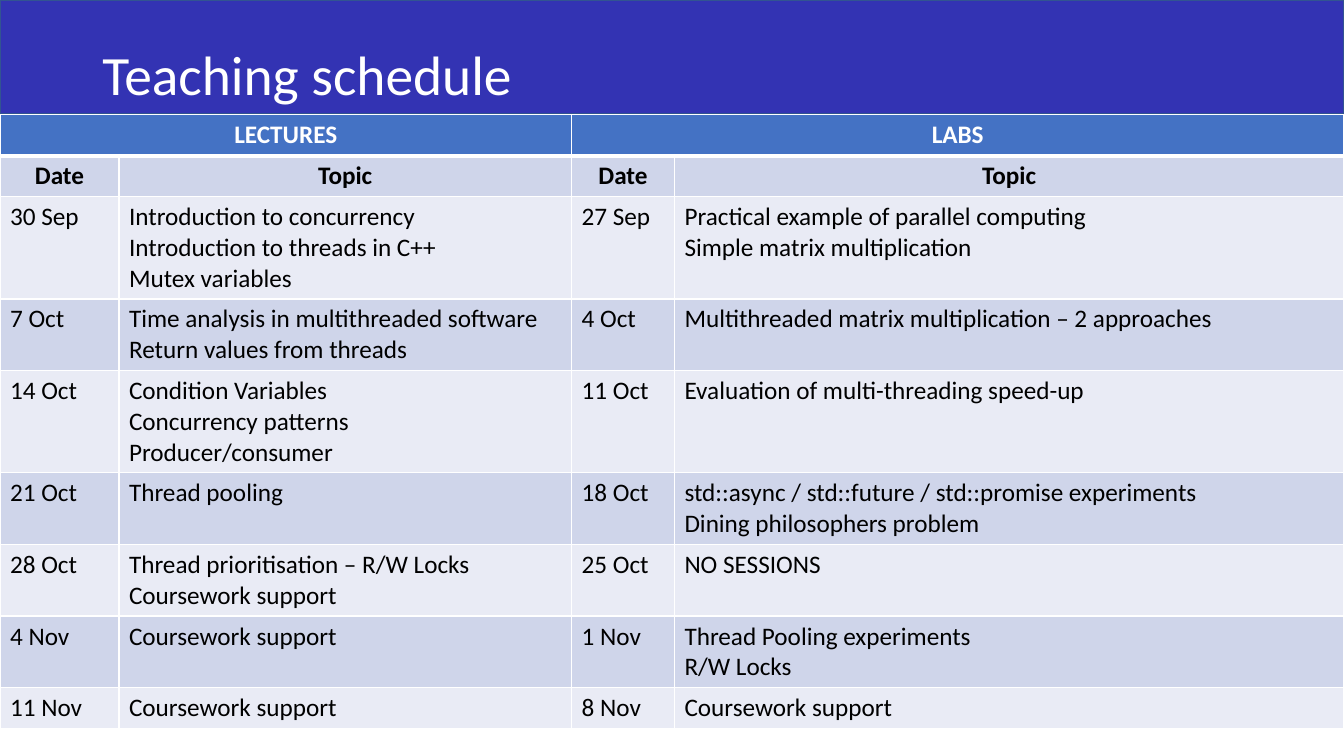
from lxml.etree import SubElement
from pptx import Presentation
from pptx.dml.color import RGBColor
from pptx.enum.shapes import MSO_SHAPE
from pptx.enum.text import MSO_ANCHOR, PP_ALIGN
from pptx.oxml.ns import qn
from pptx.util import Pt

COLORS = {
    "banner": "3333B3", "banner_line": "325491", "white": "FFFFFF", "black": "000000",
    "header": "4472C4", "dark_band": "CFD5EA", "light_band": "E9EBF5",
}
FONT = "Calibri"
COLUMN_WIDTHS = [85, 323.3, 73.5, 478.2]
LINE_HEIGHT, CELL_PADDING = 21.96, 7.24

# "\n" starts a paragraph, "\v" breaks a line within one
SCHEDULE = [
    ["LECTURES", "", "LABS", ""],
    ["Date", "Topic", "Date", "Topic"],
    ["30 Sep", "Introduction to concurrency\vIntroduction to threads in C++\nMutex variables",
     "27 Sep", "Practical example of parallel computing\nSimple matrix multiplication"],
    ["7 Oct", "Time analysis in multithreaded software\nReturn values from threads",
     "4 Oct", "Multithreaded matrix multiplication – 2 approaches"],
    ["14 Oct", "Condition Variables\nConcurrency patterns\nProducer/consumer",
     "11 Oct", "Evaluation of multi-threading speed-up"],
    ["21 Oct", "Thread pooling",
     "18 Oct", "std::async / std::future / std::promise experiments\nDining philosophers problem"],
    ["28 Oct", "Thread prioritisation – R/W Locks\nCoursework support", "25 Oct", "NO SESSIONS"],
    ["4 Nov", "Coursework support", "1 Nov", "Thread Pooling experiments\nR/W Locks"],
    ["11 Nov", "Coursework support", "8 Nov", "Coursework support"],
]


def color(name):
    """Return the named colour."""
    return RGBColor.from_string(COLORS[name])


def format_text(text_frame, size, color_name, bold=False, align=PP_ALIGN.LEFT):
    """Format every paragraph and run of a text frame."""
    for paragraph in text_frame.paragraphs:
        paragraph.alignment = align
        for run in paragraph.runs:
            run.font.name = FONT
            run.font.size = Pt(size)
            run.font.bold = bold
            run.font.color.rgb = color(color_name)


def add_banner(slide, left, top, width, height):
    """Draw the title banner with its title in the lower part."""
    banner = slide.shapes.add_shape(
        MSO_SHAPE.RECTANGLE, Pt(left), Pt(top), Pt(width), Pt(height))
    banner.shadow.inherit = False
    banner.fill.solid()
    banner.fill.fore_color.rgb = color("banner")
    banner.line.color.rgb = color("banner_line")
    banner.line.width = Pt(1)

    indent, title_top = 66, 29
    title = slide.shapes.add_textbox(Pt(left + indent), Pt(top + title_top),
                                     Pt(width - 2 * indent), Pt(height - title_top))
    text_frame = title.text_frame
    text_frame.word_wrap = True
    text_frame.vertical_anchor = MSO_ANCHOR.MIDDLE
    text_frame.text = "Teaching schedule"
    text_frame.paragraphs[0].line_spacing = 0.9
    format_text(text_frame, 39.6, "white")


def set_borders(cell, bottom_width):
    """Give a cell white borders, ahead of its fill in the XML."""
    properties = cell._tc.get_or_add_tcPr()
    for side, width in (("L", 1), ("R", 1), ("T", 1), ("B", bottom_width)):
        line = SubElement(properties, qn(f"a:ln{side}"), w=str(Pt(width)))
        fill = SubElement(line, qn("a:solidFill"))
        SubElement(fill, qn("a:srgbClr"), val=COLORS["white"])


def format_cell(cell, text, row_index):
    """Fill in one cell in the style of its row."""
    is_header, is_heading = row_index == 0, row_index < 2
    set_borders(cell, 3 if is_header else 1)
    band = "dark_band" if row_index % 2 else "light_band"
    cell.fill.solid()
    cell.fill.fore_color.rgb = color("header" if is_header else band)
    cell.text_frame.text = text
    format_text(cell.text_frame, 18, "white" if is_header else "black", is_heading,
                PP_ALIGN.CENTER if is_heading else PP_ALIGN.LEFT)


def add_schedule(slide, left, top, width):
    """Draw the schedule table; each row is as high as its longest cell."""
    line_counts = [max(len(text.splitlines()) for text in texts) for texts in SCHEDULE]
    heights = [CELL_PADDING + LINE_HEIGHT * count for count in line_counts]
    table = slide.shapes.add_table(len(SCHEDULE), len(COLUMN_WIDTHS), Pt(left), Pt(top),
                                   Pt(width), Pt(sum(heights))).table
    for column, share in zip(table.columns, COLUMN_WIDTHS):
        column.width = Pt(width * share / sum(COLUMN_WIDTHS))
    for row_index, texts in enumerate(SCHEDULE):
        table.rows[row_index].height = Pt(heights[row_index])
        for column_index, text in enumerate(texts):
            format_cell(table.cell(row_index, column_index), text, row_index)
    for first in (0, 2):
        table.cell(0, first).merge(table.cell(0, first + 1))


def main():
    """Build and save the presentation."""
    presentation = Presentation()
    presentation.slide_width, presentation.slide_height = Pt(960), Pt(540)
    slide = presentation.slides.add_slide(presentation.slide_layouts[6])
    add_banner(slide, 0, 0, 960, 81.5)
    add_schedule(slide, 0, 82, 960)
    presentation.save("out.pptx")


main()
